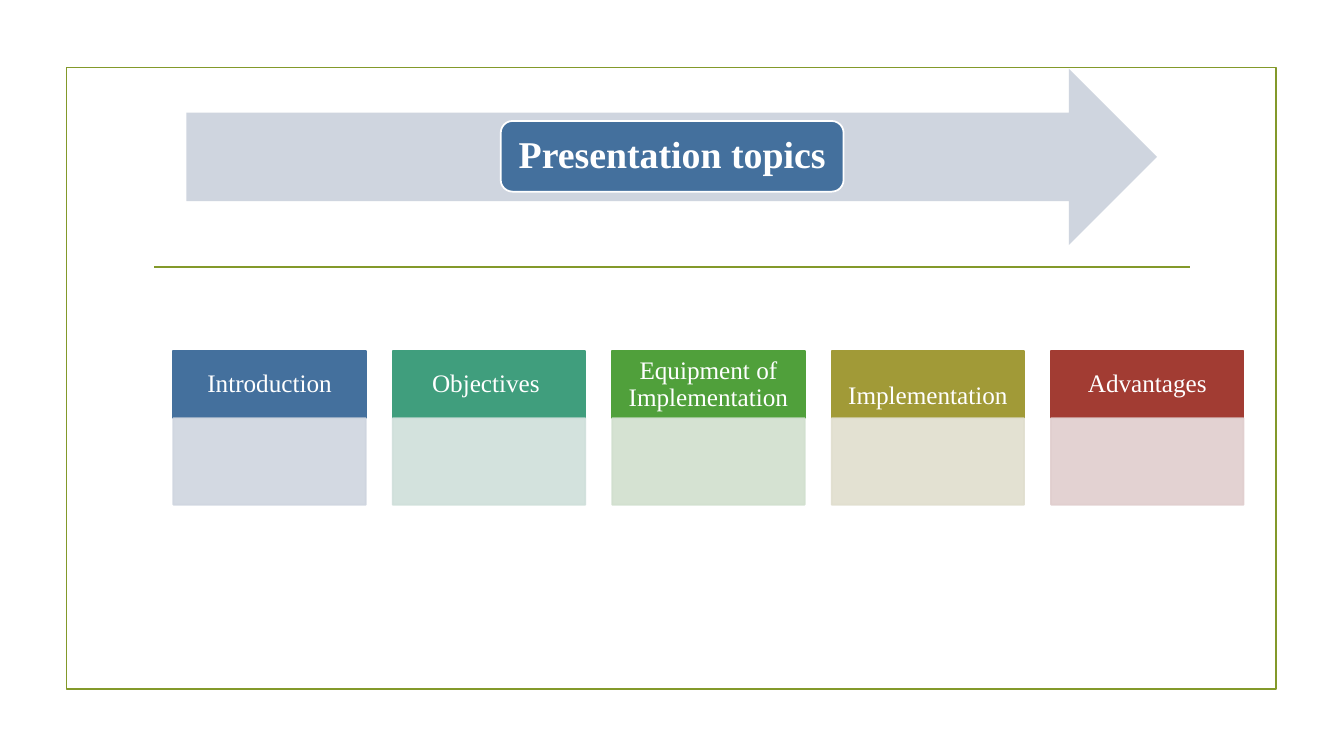
from lxml import etree
from pptx import Presentation
from pptx.dml.color import RGBColor
from pptx.enum.shapes import MSO_CONNECTOR, MSO_SHAPE as Shape
from pptx.enum.text import MSO_ANCHOR as Anchor, PP_ALIGN
from pptx.oxml.ns import qn
from pptx.util import Cm, Pt

# Content
FONT = "Times New Roman"
WHITE = RGBColor(0xFF, 0xFF, 0xFF)
OLIVE = RGBColor(0x83, 0x99, 0x2A)
BLUE = RGBColor(0x44, 0x70, 0x9D)
PALE_BLUE = RGBColor(0xCF, 0xD5, 0xDF)
TEAL = RGBColor(0x40, 0x9E, 0x7D)
PALE_TEAL = RGBColor(0xCF, 0xDF, 0xDA)
GREEN = RGBColor(0x50, 0xA0, 0x3B)
PALE_GREEN = RGBColor(0xD1, 0xDF, 0xCE)
MUSTARD = RGBColor(0xA1, 0x9A, 0x37)
PALE_MUSTARD = RGBColor(0xE0, 0xDE, 0xCE)
RED = RGBColor(0xA2, 0x3C, 0x33)
PALE_RED = RGBColor(0xE0, 0xCE, 0xCE)

TITLE = "Presentation topics"
TOPICS = [
    ("Introduction", BLUE, PALE_BLUE, Anchor.MIDDLE),
    ("Objectives ", TEAL, PALE_TEAL, Anchor.MIDDLE),
    ("Equipment of Implementation", GREEN, PALE_GREEN, Anchor.MIDDLE),
    ("Implementation", MUSTARD, PALE_MUSTARD, Anchor.BOTTOM),
    ("Advantages", RED, PALE_RED, Anchor.MIDDLE),
]

# Layout in centimetres
LINE_WIDTH = Pt(1.25)
CARD_LEFT, CARD_TOP, CARD_WIDTH, CARD_PITCH = 4.37, 8.84, 4.85, 5.53
HEADER_HEIGHT, BODY_HEIGHT = 1.7, 2.18

deck = Presentation()
deck.slide_width, deck.slide_height = Cm(33.87), Cm(19.05)
slide = deck.slides.add_slide(deck.slide_layouts[6])


def add_block(kind, left, top, width, height, fill=None, line=None):
    block = slide.shapes.add_shape(kind, Cm(left), Cm(top), Cm(width), Cm(height))
    block.shadow.inherit = False
    if fill is None:
        block.fill.background()
    else:
        block.fill.solid()
        block.fill.fore_color.rgb = fill
    if line is None:
        block.line.fill.background()
    else:
        block.line.color.rgb = line
        block.line.width = LINE_WIDTH
    return block


def write(block, text, size, side, edge, bold=False, anchor=Anchor.MIDDLE):
    frame = block.text_frame
    frame.word_wrap = True
    frame.vertical_anchor = anchor
    frame.margin_left = frame.margin_right = Cm(side)
    frame.margin_top = frame.margin_bottom = Cm(edge)
    paragraph = frame.paragraphs[0]
    paragraph.text = text
    paragraph.alignment = PP_ALIGN.CENTER
    paragraph.line_spacing = 0.9
    font = paragraph.runs[0].font
    font.name, font.size, font.bold = FONT, Pt(size), bold
    font.color.rgb = WHITE


def set_opacity(block, percent):
    for color in block.fill._xPr.iter(qn("a:srgbClr")):
        etree.SubElement(color, qn("a:alpha")).set("val", str(percent * 1000))


# Frame and divider
add_block(Shape.RECTANGLE, 1.68, 1.7, 30.48, 15.67, line=OLIVE)
divider = slide.shapes.add_connector(
    MSO_CONNECTOR.STRAIGHT, Cm(3.89), Cm(6.73), Cm(30), Cm(6.73))
divider.line.color.rgb = OLIVE
divider.line.width = LINE_WIDTH
etree.SubElement(divider.line._get_or_add_ln().getparent(), qn("a:effectLst"))

# Title on its arrow
add_block(Shape.RIGHT_ARROW, 4.7, 1.73, 24.46, 4.45, fill=PALE_BLUE)
title = add_block(Shape.ROUNDED_RECTANGLE, 12.62, 3.05, 8.64, 1.78, BLUE, WHITE)
write(title, TITLE, 27, 0.28, 0.28, bold=True)

# Topic cards
for index, (topic, strong, pale, anchor) in enumerate(TOPICS):
    left = CARD_LEFT + index * CARD_PITCH
    header = add_block(Shape.RECTANGLE, left, CARD_TOP, CARD_WIDTH, HEADER_HEIGHT,
                       strong, strong)
    write(header, topic, 18, 0.36, 0.2, anchor=anchor)
    body = add_block(Shape.RECTANGLE, left, CARD_TOP + HEADER_HEIGHT, CARD_WIDTH,
                     BODY_HEIGHT, pale, pale)
    set_opacity(body, 90)

deck.save("out.pptx")
